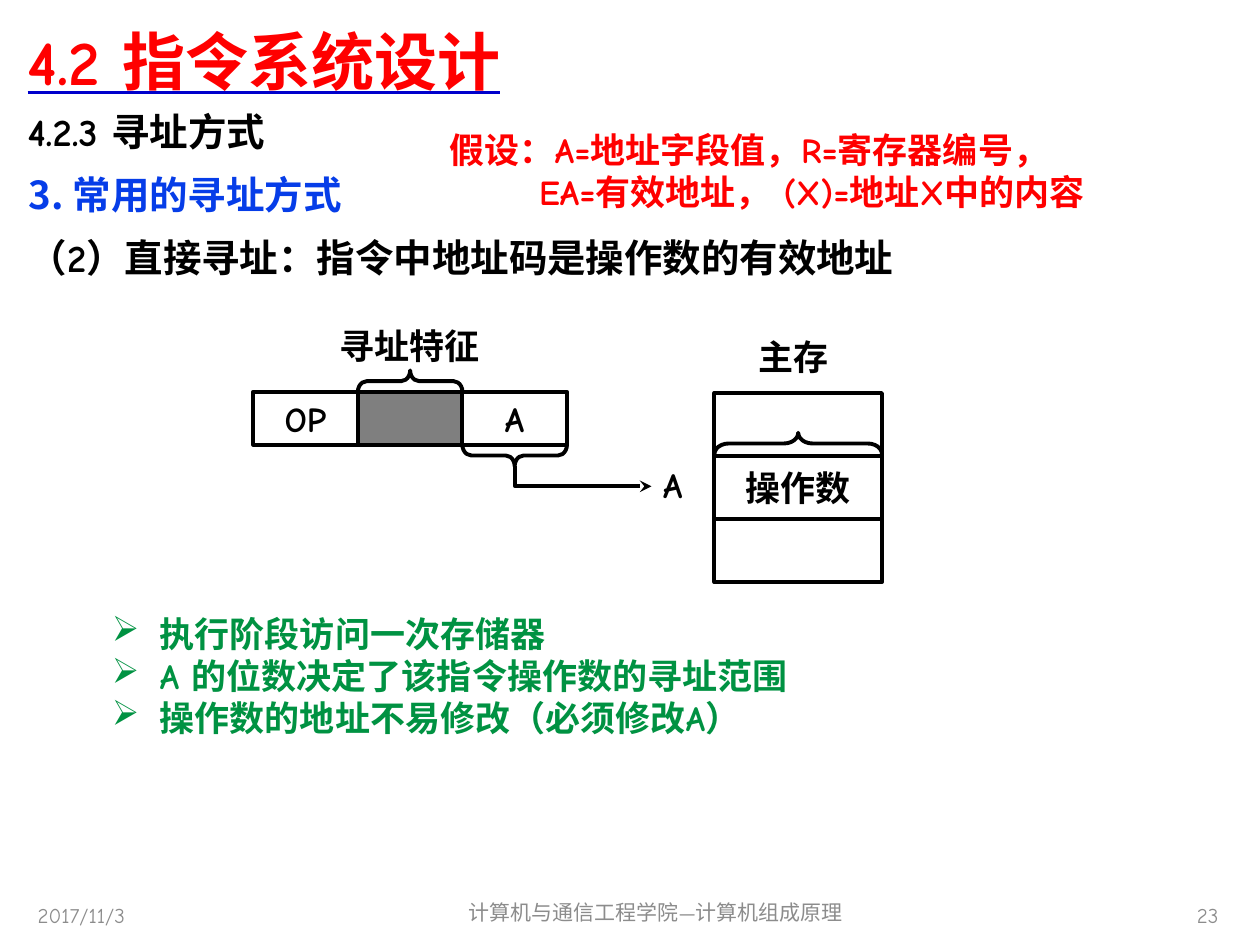
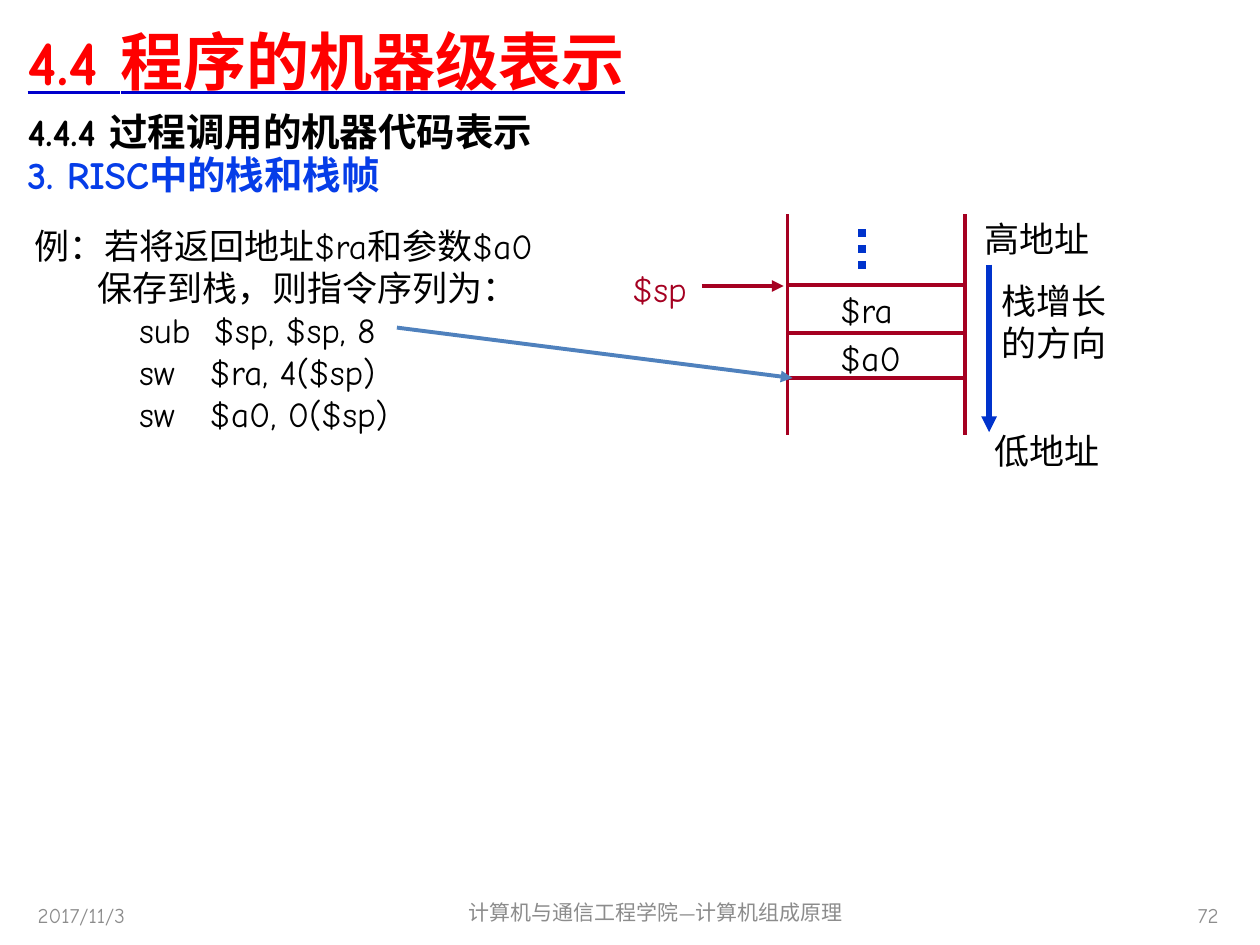
from lxml import etree
from pptx import Presentation
from pptx.dml.color import RGBColor
from pptx.enum.dml import MSO_LINE
from pptx.enum.shapes import MSO_CONNECTOR, MSO_SHAPE
from pptx.enum.text import MSO_ANCHOR, MSO_AUTO_SIZE, PP_ALIGN
from pptx.oxml.ns import qn
from pptx.util import Inches, Pt

LEFT, MID, RIGHT = PP_ALIGN.LEFT, PP_ALIGN.CENTER, PP_ALIGN.RIGHT
TOP, CENTER = MSO_ANCHOR.TOP, MSO_ANCHOR.MIDDLE
RECT, BRACE = MSO_SHAPE.RECTANGLE, MSO_SHAPE.LEFT_BRACE
STRAIGHT, DOTS = MSO_CONNECTOR.STRAIGHT, MSO_LINE.ROUND_DOT
FIXED = MSO_AUTO_SIZE.NONE

FONT, HAN = "Comic Neue", "Noto Sans CJK SC"
COLORS = {
    "black": "000000", "red": "FF0000", "rule": "0000CC", "head": "063DE8",
    "gray": "8C8C8C", "green": "009242", "wine": "A50021", "blue": "0033CC",
    "steel": "4F81BD",
}
WIDE, SLIM, TIGHT = (0.1, 0.05), (0.07, 0.03), (0, 0.05)

DATE, SCHOOL = "2017/11/3", "计算机与通信工程学院—计算机组成原理"

DIRECT = {
    "title": "4.2 指令系统设计", "part": "4.2.3 寻址方式", "depth": 0.57, "page": "23",
    "head": ["3. 常用的寻址方式"], "rule": ["（2）直接寻址：指令中地址码是操作数的有效地址"],
    "terms": ["假设：A=地址字段值，R=寄存器编号，", "EA=有效地址， (X)=地址X中的内容"],
    "notes": ["执行阶段访问一次存储器", "A 的位数决定了该指令操作数的寻址范围",
              "操作数的地址不易修改（必须修改A）"],
    "fields": ["OP", "", "A"], "cells": ["", "操作数", ""],
    "labels": [("寻址特征", 3.25, 2.53), ("主存", 6.3, 2.61), ("A", 5.34, 3.63)],
}
STACK = {
    "title": "4.4 程序的机器级表示", "part": "4.4.4 过程调用的机器代码表示",
    "depth": 6.23, "page": "72", "head": ["3. RISC中的栈和栈帧"],
    "code": ["例：若将返回地址$ra和参数$a0", "保存到栈，则指令序列为：",
             "         sub  $sp, $sp, 8", "         sw   $ra, 4($sp)",
             "         sw   $a0, 0($sp)"],
    "labels": [("$a0", 6.6, 2.64, 0.84, "black"), ("$ra", 6.6, 2.26, 0.84, "black"),
               ("$sp", 4.95, 2.09, 0.84, "wine"), ("高地址", 7.74, 1.7, 1.56, "black"),
               ("低地址", 7.82, 3.38, 1.35, "black"), ("栈增长的方向", 7.88, 2.19, 1.17, "black")],
    "sides": [6.25, 7.66], "levels": [2.26, 2.64, 3],
}


def rgb(name):
    return RGBColor.from_string(COLORS[name])


def write(frame, lines, color, size=20, bold=True, align=LEFT, anchor=TOP,
          inset=WIDE, font=FONT, bullet=None, indents=()):
    frame.word_wrap = True
    frame.auto_size = FIXED
    frame.vertical_anchor = anchor
    frame.margin_left = frame.margin_right = Inches(inset[0])
    frame.margin_top = frame.margin_bottom = Inches(inset[1])
    for i, line in enumerate(lines):
        para = frame.paragraphs[0] if i == 0 else frame.add_paragraph()
        props = para._p.get_or_add_pPr()
        hang = Inches(0.38) if bullet else 0
        left = Inches(indents[i]) if i < len(indents) else hang
        props.set("marL", str(left))
        props.set("indent", str(-hang))
        if bullet:
            etree.SubElement(props, qn("a:buChar")).set("char", bullet)
        else:
            etree.SubElement(props, qn("a:buNone"))
        para.alignment = align
        para.space_before = Pt(0)
        run = para.add_run()
        run.text = line
        run.font.size, run.font.bold = Pt(size), bold
        run.font.color.rgb = rgb(color)
        run.font.name = font
        latin = run._r.rPr.find(qn("a:latin"))
        east = etree.Element(qn("a:ea"))
        east.set("typeface", font)
        latin.addnext(east)


def place(shape, x, y, w, h):
    shape.left, shape.top = Inches(x), Inches(y)
    shape.width, shape.height = Inches(w), Inches(h)


def text(slide, x, y, w, h, lines, color, **style):
    box = slide.shapes.add_textbox(Inches(x), Inches(y), Inches(w), Inches(h))
    write(box.text_frame, lines, color, **style)


def ink(shape, color="black", width=2.25, head=None):
    shape.line.color.rgb = rgb(color)
    shape.line.width = Pt(width)
    if head:
        etree.SubElement(shape.line._get_or_add_ln(), qn("a:tailEnd")).set("type", head)


def block(slide, kind, x, y, w, h):
    shape = slide.shapes.add_shape(kind, Inches(x), Inches(y), Inches(w), Inches(h))
    shape.shadow.inherit = False
    shape.fill.background()
    ink(shape)
    return shape


def cell(slide, x, y, w, h, word):
    shape = block(slide, RECT, x, y, w, h)
    if word:
        write(shape.text_frame, [word], "black", align=MID, anchor=CENTER, inset=TIGHT)
    return shape


def brace(slide, x, y, span, turn, bend):
    shape = block(slide, BRACE, x - 0.085, y - span / 2, 0.17, span)
    shape.rotation = turn
    shape.adjustments[0] = bend


def line(slide, x1, y1, x2, y2, color, width=2.25, head=None, dash=None):
    link = slide.shapes.add_connector(STRAIGHT, Inches(x1), Inches(y1), Inches(x2), Inches(y2))
    if dash:
        link.line.dash_style = dash
    ink(link, color, width, head)
    etree.SubElement(link._element.spPr, qn("a:effectLst"))


def start(deck, data):
    slide = deck.slides.add_slide(deck.slide_layouts[1])
    title, body = slide.placeholders
    place(title, 0.12, 0.05, 9.69, 0.85)
    write(title.text_frame, [data["title"]], "red", size=36, anchor=CENTER)
    run = title.text_frame.paragraphs[0].runs[0]
    run.font.underline = True
    under = etree.Element(qn("a:uFill"))
    fill = etree.SubElement(under, qn("a:solidFill"))
    etree.SubElement(fill, qn("a:srgbClr")).set("val", COLORS["rule"])
    run._r.rPr.find(qn("a:latin")).addprevious(under)
    place(body, 0.12, 0.81, 9.69, data["depth"])
    write(body.text_frame, [data["part"]], "black", size=22)
    for x, y, w, word, align in ((3.35, 7.04, 3.71, SCHOOL, MID),
                                 (7.44, 7.06, 2.33, data["page"], RIGHT),
                                 (0.2, 7.06, 2.33, DATE, LEFT)):
        text(slide, x, y, w, 0.4, [word], "gray", size=12, bold=False,
             align=align, anchor=CENTER)
    return slide


def direct(deck, data):
    slide = start(deck, data)
    text(slide, 0.13, 1.31, 9.69, 0.55, data["head"], "head", size=22, font=HAN)
    text(slide, 0.13, 1.81, 9.53, 0.47, data["rule"], "black", size=22)
    text(slide, 0.79, 4.81, 6, 1.45, data["notes"], "green", bullet="➢")

    x, y, w, h = 5.67, 3.12, 1.33, 0.5
    for i, word in enumerate(data["cells"]):
        cell(slide, x, y + i * h, w, h, word)
    brace(slide, x + w / 2, y + 0.4, w, 90, 0.667)

    x, y, w, h = 2.01, 3.11, 0.83, 0.42
    for i, word in enumerate(data["fields"]):
        shape = cell(slide, x + i * w, y, w, h, word)
        if not word:
            shape.fill.solid()
            shape.fill.fore_color.rgb = rgb("black")
            tint = shape._element.spPr.find(qn("a:solidFill"))[0]
            etree.SubElement(tint, qn("a:alpha")).set("val", "50000")
    brace(slide, x + 1.5 * w, y - 0.085, w, 90, 0.417)
    brace(slide, x + 2.5 * w, y + h + 0.085, w, 270, 0.417)

    bend = slide.shapes.build_freeform(Inches(4.09), Inches(3.7))
    bend.add_line_segments([(Inches(4.09), Inches(3.86)), (Inches(5.17), Inches(3.86))],
                           close=False)
    path = bend.convert_to_shape()
    path.shadow.inherit = False
    path.fill.background()
    ink(path, head="stealth")

    for word, mid, top in data["labels"]:
        text(slide, mid - 0.66, top, 1.32, 0.43, [word], "black", align=MID, inset=TIGHT)
    text(slide, 3.5, 0.99, 6.16, 0.73, data["terms"], "red", inset=SLIM, indents=(0, 0.71))


def stack(deck, data):
    slide = start(deck, data)
    text(slide, 0.12, 1.15, 5.43, 0.43, data["head"], "head", size=22)
    text(slide, 0.2, 1.75, 4.39, 1.74, data["code"], "black", bold=False,
         inset=SLIM, indents=(0, 0.5))
    for x in data["sides"]:
        line(slide, x, 1.7, x, 3.45, "wine")
    for y in data["levels"]:
        line(slide, 6.24, y, 7.64, y, "wine")
    for word, x, y, w, color in data["labels"]:
        text(slide, x, y, w, 0.39, [word], color, bold=False, inset=SLIM)
    line(slide, 5.57, 2.27, 6.22, 2.27, "wine", head="triangle")
    line(slide, 7.85, 2.1, 7.85, 3.43, "blue", 3, "triangle")
    line(slide, 6.84, 1.82, 6.84, 2.16, "blue", 4.5, dash=DOTS)
    line(slide, 3.15, 2.6, 6.29, 3, "steel", head="triangle")


def main():
    deck = Presentation()
    deck.slide_width, deck.slide_height = Inches(10), Inches(7.5)
    direct(deck, DIRECT)
    stack(deck, STACK)
    deck.save("out.pptx")


if __name__ == "__main__":
    main()
